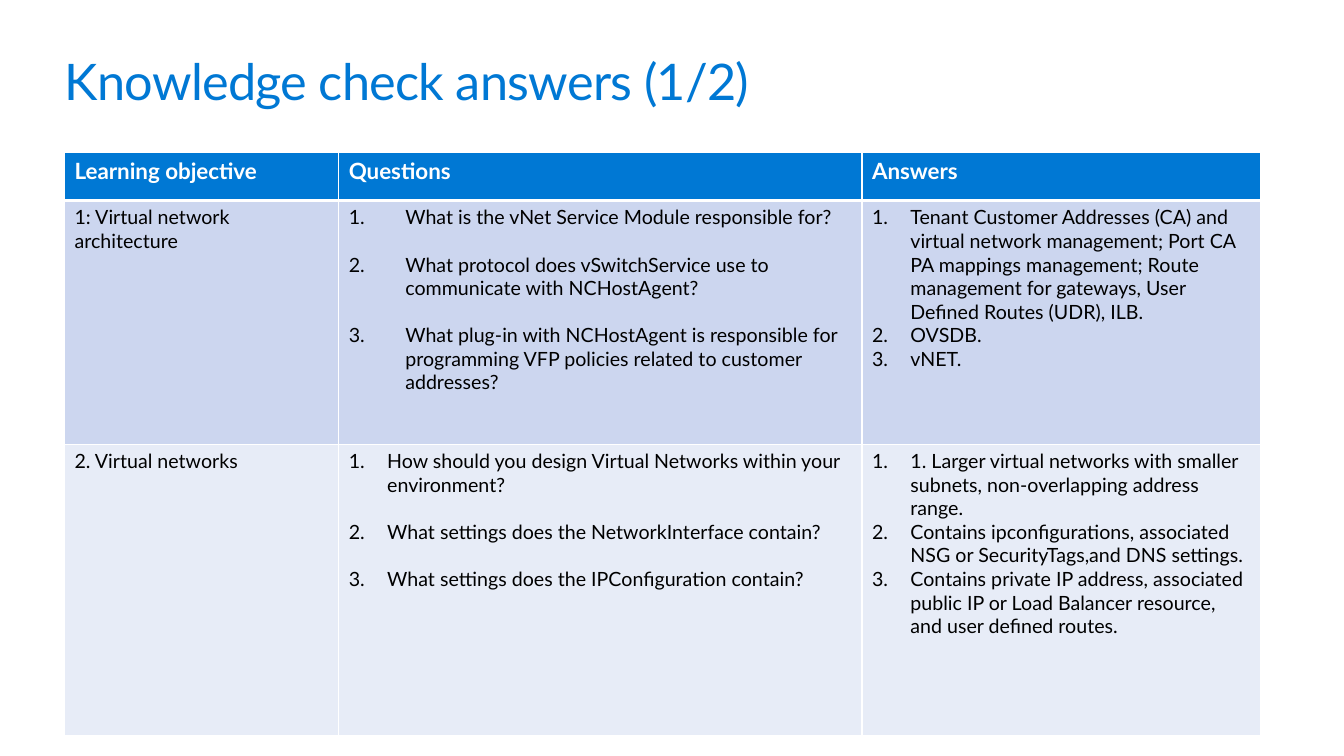
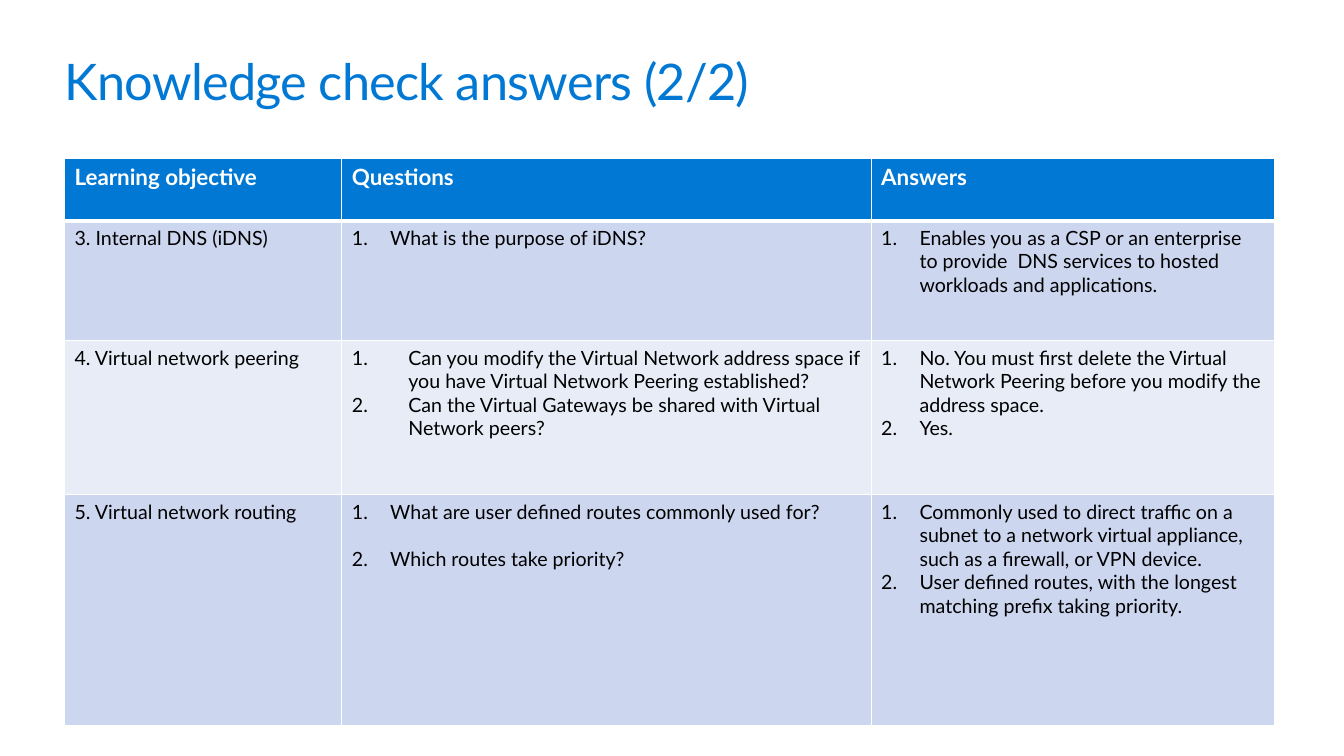
from dataclasses import dataclass

import pptx
import pptx.dml.color
import pptx.enum.text
import pptx.oxml
import pptx.oxml.ns
import pptx.util

EMU_PER_PX = 9144  # 100 px to the inch


@dataclass(frozen=True)
class Theme:
    font: str = "Lato"
    accent: str = "0078D4"
    text: str = "000000"
    white: str = "FFFFFF"
    bands: tuple = ("CCD6EF", "E7ECF7")
    title_size: int = 36
    header_size: int = 16
    body_size: int = 14
    blank_line: float = 16.8
    thin_line: int = 1
    thick_line: int = 3


THEME = Theme()
NARROW, WIDE = 38, 56
HEADERS = ("Learning objective", "Questions", "Answers")


@dataclass(frozen=True)
class NumberedList:
    items: tuple
    indent: int = NARROW
    spaced: bool = False


@dataclass(frozen=True)
class AnswerTable:
    left: int
    top: int
    columns: tuple
    row_heights: tuple
    rows: tuple


SLIDES = (
    ("Knowledge check answers (1/2)", AnswerTable(64, 151, (272, 519, 395), (48, 242, 289), (
        ("1: Virtual network architecture",
         NumberedList((
             "What is the vNet Service Module responsible for?",
             "What protocol does vSwitchService use to communicate with NCHostAgent?",
             "What plug-in with NCHostAgent is responsible for programming VFP policies "
             "related to customer addresses?"), WIDE, spaced=True),
         NumberedList((
             "Tenant Customer Addresses (CA) and virtual network management; Port CA PA "
             "mappings management; Route management for gateways, User Defined Routes (UDR), ILB.",
             "OVSDB.",
             "vNET."))),
        ("2. Virtual networks",
         NumberedList((
             "How should you design Virtual Networks within your environment?",
             "What settings does the NetworkInterface contain?",
             "What settings does the IPConfiguration contain?"), spaced=True),
         NumberedList((
             "1. Larger virtual networks with smaller subnets, non-overlapping address range.",
             "Contains ipconfigurations, associated NSG or SecurityTags,and DNS settings.",
             "Contains private IP address, associated public IP or Load Balancer resource, "
             "and user defined routes."))),
    ))),
    ("Knowledge check answers (2/2)", AnswerTable(64, 157, (275, 525, 400), (62, 119, 153, 229), (
        ("3. Internal DNS (iDNS)",
         NumberedList(("What is the purpose of iDNS?",)),
         NumberedList((
             "Enables you as a CSP or an enterprise to provide  DNS services to hosted "
             "workloads and applications.",))),
        ("4. Virtual network peering",
         NumberedList((
             "Can you modify the Virtual Network address space if you have Virtual Network "
             "Peering established?",
             "Can the Virtual Gateways be shared with Virtual Network peers?"), WIDE),
         NumberedList((
             "No. You must first delete the Virtual Network Peering before you modify the "
             "address space.",
             "Yes."))),
        ("5. Virtual network routing",
         NumberedList((
             "What are user defined routes commonly used for?",
             "Which routes take priority?"), spaced=True),
         NumberedList((
             "Commonly used to direct traffic on a subnet to a network virtual appliance, "
             "such as a firewall, or VPN device.",
             "User defined routes, with the longest matching prefix taking priority."))),
    ))),
)


def px(length):
    return pptx.util.Emu(length * EMU_PER_PX)


def rgb(color):
    return pptx.dml.color.RGBColor.from_string(color)


def write_text(paragraph, text, *, size=THEME.body_size, color=THEME.text, bold=False, tracking=0):
    """Add a run; tracking is in hundredths of a point."""
    run = paragraph.add_run()
    run.text = text
    run.font.name = THEME.font
    run.font.size = pptx.util.Pt(size)
    run.font.bold = bold
    run.font.color.rgb = rgb(color)
    if tracking:
        run.font._element.set("spc", str(tracking))


def number_paragraph(paragraph, indent):
    properties = paragraph._p.get_or_add_pPr()
    properties.set("marL", str(px(indent)))
    properties.set("indent", str(-px(indent)))
    numbering = pptx.oxml.parse_xml(
        f'<a:buAutoNum {pptx.oxml.ns.nsdecls("a")} type="arabicPeriod"/>')
    properties.append(numbering)


def write_list(text_frame, numbered):
    for index, item in enumerate(numbered.items):
        paragraph = text_frame.add_paragraph() if index else text_frame.paragraphs[0]
        number_paragraph(paragraph, numbered.indent)
        if index and numbered.spaced:
            paragraph.space_before = pptx.util.Pt(THEME.blank_line)
        write_text(paragraph, item)


def style_cell(cell, fill, top_line, bottom_line):
    properties = cell._tc.get_or_add_tcPr()
    widths = {"L": THEME.thin_line, "R": THEME.thin_line, "T": top_line, "B": bottom_line}
    for side, width in widths.items():
        properties.append(pptx.oxml.parse_xml(
            f'<a:ln{side} {pptx.oxml.ns.nsdecls("a")} w="{pptx.util.Pt(width)}">'
            f'<a:solidFill><a:srgbClr val="{THEME.white}"/></a:solidFill></a:ln{side}>'))
    cell.fill.solid()
    cell.fill.fore_color.rgb = rgb(fill)


def add_title(slide, text, left, top, width, height):
    text_frame = slide.shapes.add_textbox(px(left), px(top), px(width), px(height)).text_frame
    text_frame.word_wrap = True
    text_frame.auto_size = pptx.enum.text.MSO_AUTO_SIZE.SHAPE_TO_FIT_TEXT
    text_frame.margin_left = text_frame.margin_right = 0
    text_frame.margin_top = text_frame.margin_bottom = 0
    write_text(text_frame.paragraphs[0], text,
               size=THEME.title_size, color=THEME.accent, tracking=-50)


def add_answer_table(slide, content):
    table = slide.shapes.add_table(
        len(content.row_heights), len(content.columns), px(content.left), px(content.top),
        px(sum(content.columns)), px(sum(content.row_heights))).table
    for column, width in zip(table.columns, content.columns):
        column.width = px(width)
    for row, height in zip(table.rows, content.row_heights):
        row.height = px(height)

    for column, header in enumerate(HEADERS):
        cell = table.cell(0, column)
        style_cell(cell, THEME.accent, THEME.thin_line, THEME.thick_line)
        write_text(cell.text_frame.paragraphs[0], header,
                   size=THEME.header_size, color=THEME.white, bold=True)

    for row, (objective, *lists) in enumerate(content.rows, start=1):
        top_line = THEME.thick_line if row == 1 else THEME.thin_line
        band = THEME.bands[(row - 1) % len(THEME.bands)]
        for column in range(len(content.columns)):
            style_cell(table.cell(row, column), band, top_line, THEME.thin_line)
        write_text(table.cell(row, 0).text_frame.paragraphs[0], objective)
        for column, numbered in enumerate(lists, start=1):
            write_list(table.cell(row, column).text_frame, numbered)


def add_answer_slide(presentation, title, content):
    slide = presentation.slides.add_slide(presentation.slide_layouts[6])
    add_title(slide, title, 64, 50, 1205, 61)
    add_answer_table(slide, content)


def main():
    presentation = pptx.Presentation()
    presentation.slide_width = px(1333)
    presentation.slide_height = px(750)
    for title, content in SLIDES:
        add_answer_slide(presentation, title, content)
    presentation.save("out.pptx")


if __name__ == "__main__":
    main()
